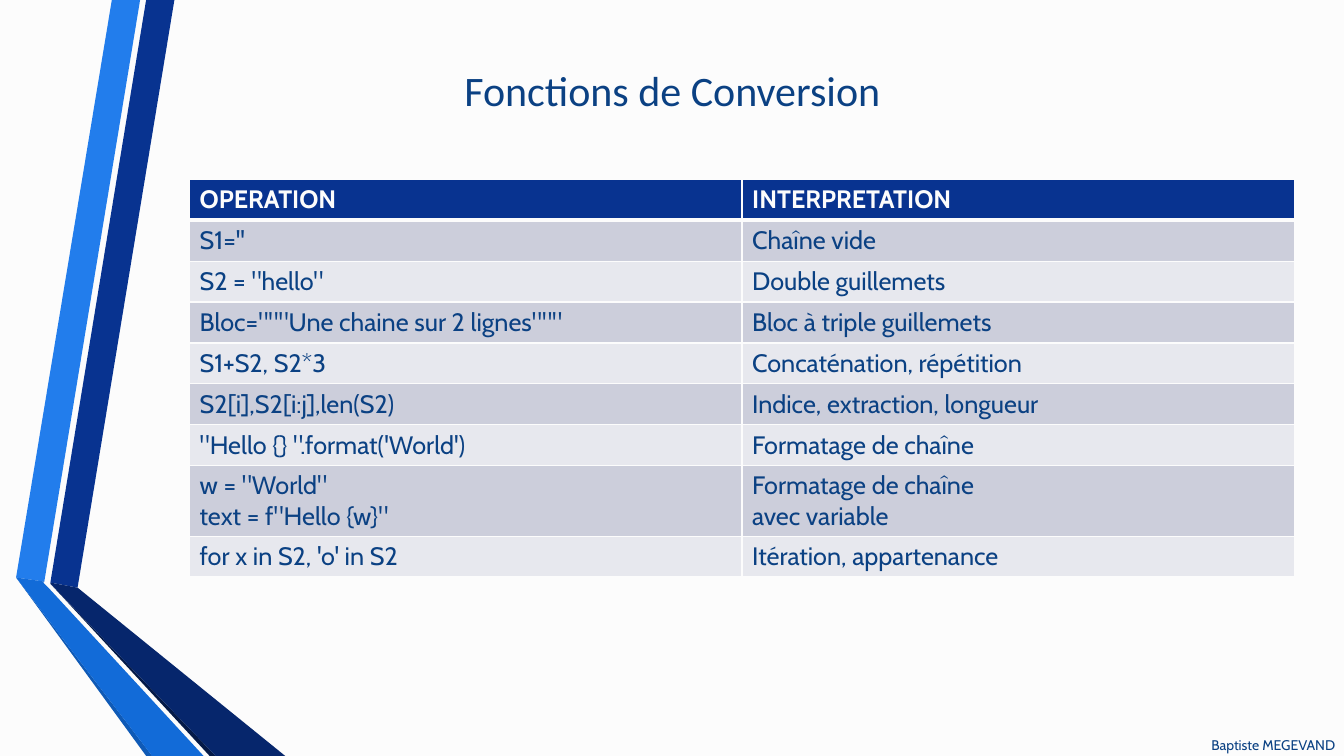
from lxml.etree import SubElement
from pptx import Presentation
from pptx.dml.color import RGBColor
from pptx.enum.text import MSO_ANCHOR, PP_ALIGN
from pptx.oxml.ns import qn
from pptx.util import Inches, Pt

COLORS = {
    "paper": "FCFCFC", "ink": "0B4183", "navy": "083390", "sky": "227DEC",
    "sky_edge": "0F5AB6", "navy_edge": "041A48", "navy_fold": "06266C",
    "sky_fold": "126BD8", "odd_row": "CCCEDB", "even_row": "E7E8EE",
}
UNIT = Inches(0.01)

RIBBONS = [
    ("navy", [(50, 578), (77, 583), (173, 0), (145, 0)]),
    ("sky", [(139, 0), (111, 0), (16, 573), (44, 577)]),
    ("sky_edge", [(16, 573), (145, 750), (151, 750)]),
    ("navy_edge", [(50, 579), (208, 750), (214, 750)]),
    ("navy_fold", [(50, 579), (214, 750), (283, 750), (77, 583), (50, 578)]),
    ("sky_fold", [(202, 750), (48, 583), (43, 578), (44, 577), (16, 573), (151, 750)]),
]

OPERATIONS = [
    ("OPERATION", "INTERPRETATION"),
    ("S1=''", "Chaîne vide"),
    ('S2 = "hello"', "Double guillemets"),
    ('Bloc="""Une chaine sur 2 lignes"""', "Bloc à triple guillemets"),
    ("S1+S2, S2*3", "Concaténation, répétition"),
    ("S2[i],S2[i:j],len(S2)", "Indice, extraction, longueur"),
    ("\"Hello {} \".format('World')", "Formatage de chaîne"),
    ('w = "World"\ntext = f"Hello {w}"', "Formatage de chaîne\navec variable"),
    ("for x in S2, 'o' in S2", "Itération, appartenance"),
]


def write(frame, text, color, align=PP_ALIGN.LEFT, **font_format):
    frame.text = text
    for paragraph in frame.paragraphs:
        paragraph.alignment = align
        for run in paragraph.runs:
            for attribute, value in font_format.items():
                setattr(run.font, attribute, value)
            run.font.color.rgb = RGBColor.from_string(COLORS[color])


def paint(fill, color):
    fill.solid()
    fill.fore_color.rgb = RGBColor.from_string(COLORS[color])


deck = Presentation()
deck.slide_width, deck.slide_height = Inches(13.33), Inches(7.5)
slide = deck.slides.add_slide(deck.slide_layouts[5])
paint(slide.background.fill, "paper")

for color, (start, *corners) in RIBBONS:
    builder = slide.shapes.build_freeform(*start, scale=UNIT)
    builder.add_line_segments(corners, close=True)
    ribbon = builder.convert_to_shape()
    ribbon.shadow.inherit = False
    ribbon.line.fill.background()
    paint(ribbon.fill, color)

author = slide.shapes.add_textbox(Inches(5.59), Inches(7.28), Inches(7.75), Inches(0.23))
author.text_frame.word_wrap = True
author.text_frame.vertical_anchor = MSO_ANCHOR.MIDDLE
write(author.text_frame, "Baptiste MEGEVAND", "ink", PP_ALIGN.RIGHT, name="Cabin", size=Pt(10))

title = slide.shapes.title
title_box = {"left": 0.92, "top": 0.4, "width": 11.5, "height": 0.98}
for attribute, value in title_box.items():
    setattr(title, attribute, Inches(value))
title.text_frame.vertical_anchor = MSO_ANCHOR.MIDDLE
write(title.text_frame, "Fonctions de Conversion", "ink", PP_ALIGN.CENTER, name="Calibri", size=Pt(30))

line_height = Pt(29.2)
operations = slide.shapes.add_table(
    len(OPERATIONS), 2, Inches(1.88), Inches(1.78), Inches(10.96), line_height * len(OPERATIONS)
).table
for row, texts in enumerate(OPERATIONS):
    operations.rows[row].height = line_height
    heading = row == 0
    background = "navy" if heading else "odd_row" if row % 2 else "even_row"
    for column, text in enumerate(texts):
        cell = operations.cell(row, column)
        write(cell.text_frame, text, "paper" if heading else "ink",
              name="Cabin", size=Pt(18), bold=heading)
        properties = cell._tc.get_or_add_tcPr()
        for side in "LRTB":
            thick = (heading and side == "B") or (row == 1 and side == "T")
            border = SubElement(properties, qn(f"a:ln{side}"), w=str(Pt(3 if thick else 1)))
            border_fill = SubElement(border, qn("a:solidFill"))
            SubElement(border_fill, qn("a:srgbClr"), val=COLORS["paper"])
        paint(cell.fill, background)

deck.save("out.pptx")
